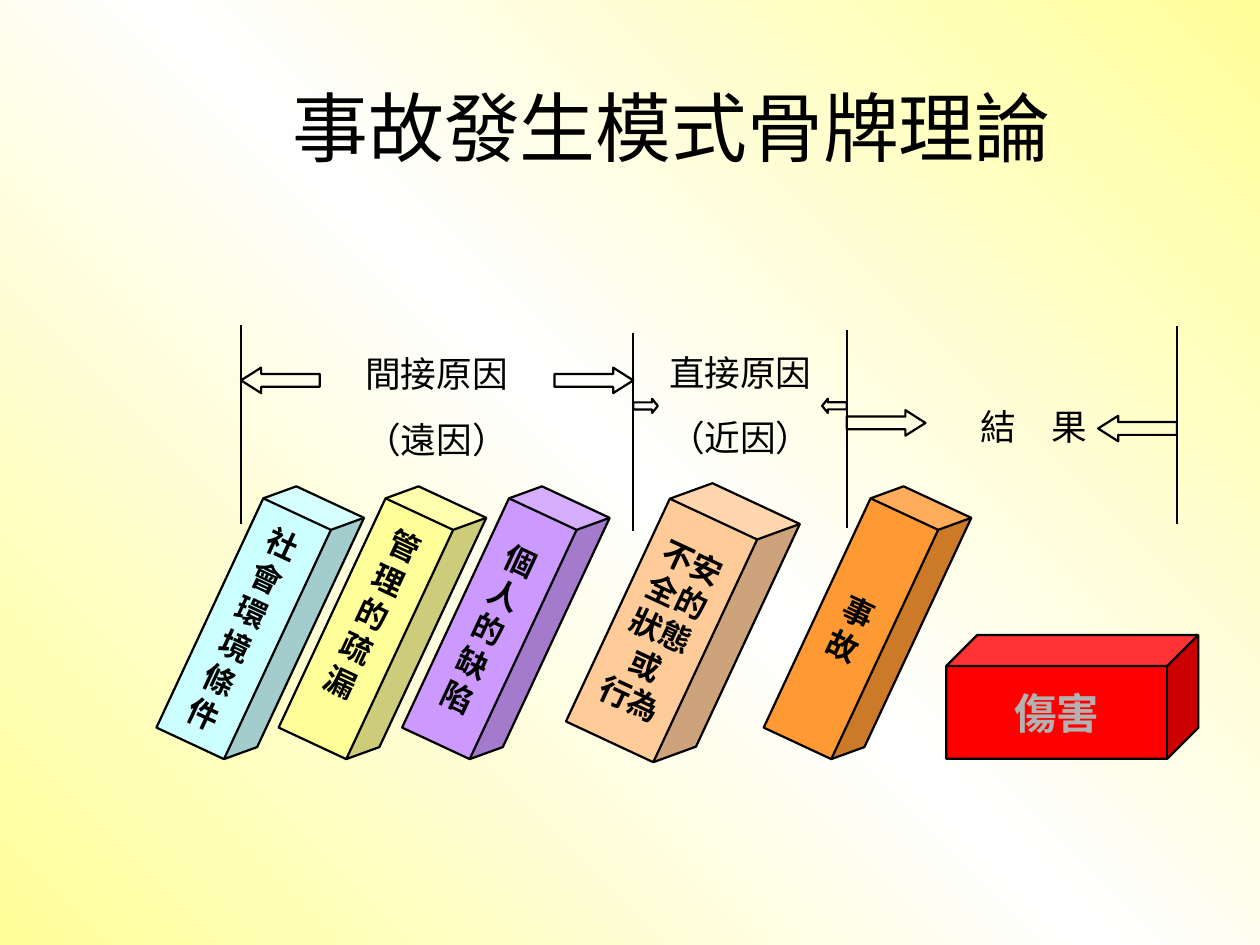
import copy

import pptx
import pptx.dml.color
import pptx.enum.shapes
import pptx.enum.text
import pptx.oxml.ns
import pptx.util
from lxml import etree

# Content: all lengths are percentages of the slide's width or height
WIDTH, HEIGHT = 7.84, 5.88
FONT = "Arial"
BLACK = "000000"
BACKGROUND = [(0, "FFFF99"), (0.5, "FEFEFE"), (1, "FFFF99")]
TITLE = ("事故發生模式骨牌理論", (20.8, 7.8, 65, 10.9))

# Dominoes: lines, left, width, fill, bottom inset in inches
DOMINO_TOP, DOMINO_HEIGHT, DOMINO_TILT = 51.2, 29.4, 25
DOMINOES = [
    ("社\n會\n環\n境\n條\n件", 16.7, 7.9, "CCFFFF", 0.04),
    ("管\n理\n的\n疏\n漏", 26.4, 7.9, "FFFF99", 0.25),
    ("個\n人\n的\n缺\n陷", 36.2, 7.9, "CC99FF", 0.04),
    ("不安\n全的\n狀態\n或\n行為", 49.1, 10.2, "FFCC99", 0.04),
    ("事\n故", 64.9, 7.9, "FF9933", 0.04),
]
INJURY = ("傷害", (75.1, 67.2, 20, 13.1), "FF0000", "B2B2B2")

# Stage labels: lines, left, top, height
LABEL_WIDTH = 17.5
LABELS = [
    ("間接原因\n（遠因）", 25.9, 36.6, 12.8),
    ("直接原因\n（近因）", 50, 36.4, 12.8),
    ("結　果", 73.3, 42.2, 5.8),
]

# Boundaries between stages: x, top
BOUNDARY_LENGTH = 21
BOUNDARIES = [(19.13, 34.4), (50.26, 35.2), (67.2, 34.9), (93.4, 34.5)]

# Arrow sizes: width, height, head ratio
LONG, SHORT = (6.25, 2.7, 0.79), (1.95, 1.5, 0.41)
# Arrows: boundary, side of it, pointing, top, size
ARROWS = [
    (0, "right", "left", 38.9, LONG),
    (1, "left", "right", 38.9, LONG),
    (1, "right", "right", 42.2, SHORT),
    (2, "left", "left", 42.2, SHORT),
    (2, "right", "right", 43.4, LONG),
    (3, "left", "left", 44, LONG),
]


def color(value):
    return pptx.dml.color.RGBColor.from_string(value)


def across(share):
    return pptx.util.Inches(WIDTH * share / 100)


def down(share):
    return pptx.util.Inches(HEIGHT * share / 100)


def area(left, top, width, height):
    return across(left), down(top), across(width), down(height)


def write(shape, text, size, ink=BLACK, bold=False, middle=False,
          wrap=True, gap=0, bottom=0.04):
    frame = shape.text_frame
    frame.text = text
    frame.auto_size = pptx.enum.text.MSO_AUTO_SIZE.NONE
    frame.word_wrap = wrap
    anchors = pptx.enum.text.MSO_ANCHOR
    frame.vertical_anchor = anchors.MIDDLE if middle else anchors.TOP
    frame.margin_left = frame.margin_right = pptx.util.Inches(0.08)
    frame.margin_top = pptx.util.Inches(0.04)
    frame.margin_bottom = pptx.util.Inches(bottom)
    for index, para in enumerate(frame.paragraphs):
        para.alignment = pptx.enum.text.PP_ALIGN.CENTER
        para.space_before = pptx.util.Pt(gap if index else 0)
        for span in para.runs:
            span.font.name = FONT
            span.font.size = pptx.util.Pt(size)
            span.font.bold = bold
            span.font.color.rgb = color(ink)


def add_outlined(page, kind, place, fill=None):
    shape = page.shapes.add_shape(kind, *area(*place))
    shape.shadow.inherit = False
    if fill:
        shape.fill.solid()
        shape.fill.fore_color.rgb = color(fill)
    else:
        shape.fill.background()
    shape.line.color.rgb = color(BLACK)
    shape.line.width = pptx.util.Pt(1)
    return shape


def paint_background(page):
    fill = page.background.fill
    fill.gradient()
    fill.gradient_angle = 225
    stop_list = next(page.element.iter(pptx.oxml.ns.qn("a:gsLst")))
    stop_list.append(copy.deepcopy(stop_list[-1]))
    for stop, (position, value) in zip(fill.gradient_stops, BACKGROUND):
        stop.position = position
        stop.color.rgb = color(value)


def main():
    deck = pptx.Presentation()
    deck.slide_width = pptx.util.Inches(WIDTH)
    deck.slide_height = pptx.util.Inches(HEIGHT)
    page = deck.slides.add_slide(deck.slide_layouts[5])
    paint_background(page)

    # Title
    text, place = TITLE
    title = page.shapes.title
    title.left, title.top, title.width, title.height = area(*place)
    write(title, text, 34)

    # Tilted dominoes and the fallen one
    shapes = pptx.enum.shapes.MSO_SHAPE
    for text, left, width, fill, bottom in DOMINOES:
        place = (left, DOMINO_TOP, width, DOMINO_HEIGHT)
        domino = add_outlined(page, shapes.CUBE, place, fill)
        domino.rotation = DOMINO_TILT
        write(domino, text, 14, bold=True, middle=True, wrap=False,
              bottom=bottom)
    text, place, fill, ink = INJURY
    injury = add_outlined(page, shapes.CUBE, place, fill)
    write(injury, text, 19, ink, bold=True, middle=True, wrap=False)

    # Stage labels
    for text, left, top, height in LABELS:
        box = page.shapes.add_textbox(*area(left, top, LABEL_WIDTH, height))
        write(box, text, 16, gap=10)

    # Boundary lines
    for x, top in BOUNDARIES:
        line = page.shapes.add_connector(
            pptx.enum.shapes.MSO_CONNECTOR.STRAIGHT,
            across(x), down(top), across(x), down(top + BOUNDARY_LENGTH))
        line.line.color.rgb = color(BLACK)
        line.line.width = pptx.util.Pt(1)
        properties = line.element.find(pptx.oxml.ns.qn("p:spPr"))
        etree.SubElement(properties, pptx.oxml.ns.qn("a:effectLst"))

    # Arrows beside the boundaries
    for boundary, side, pointing, top, (width, height, head) in ARROWS:
        x = BOUNDARIES[boundary][0]
        left = x - width if side == "left" else x
        arrow = add_outlined(page, shapes.LEFT_ARROW,
                             (left, top, width, height))
        arrow.adjustments[1] = head
        arrow.rotation = 180 if pointing == "right" else 0

    deck.save("out.pptx")


if __name__ == "__main__":
    main()
